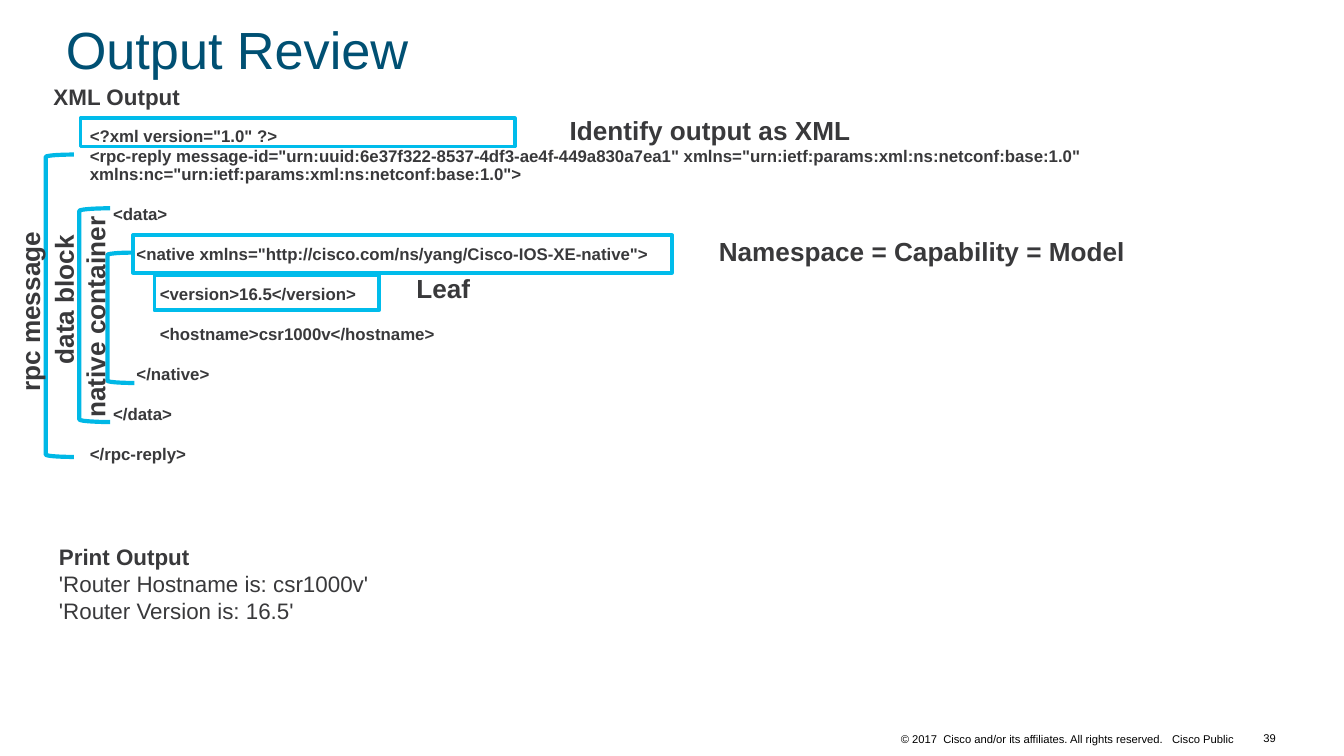
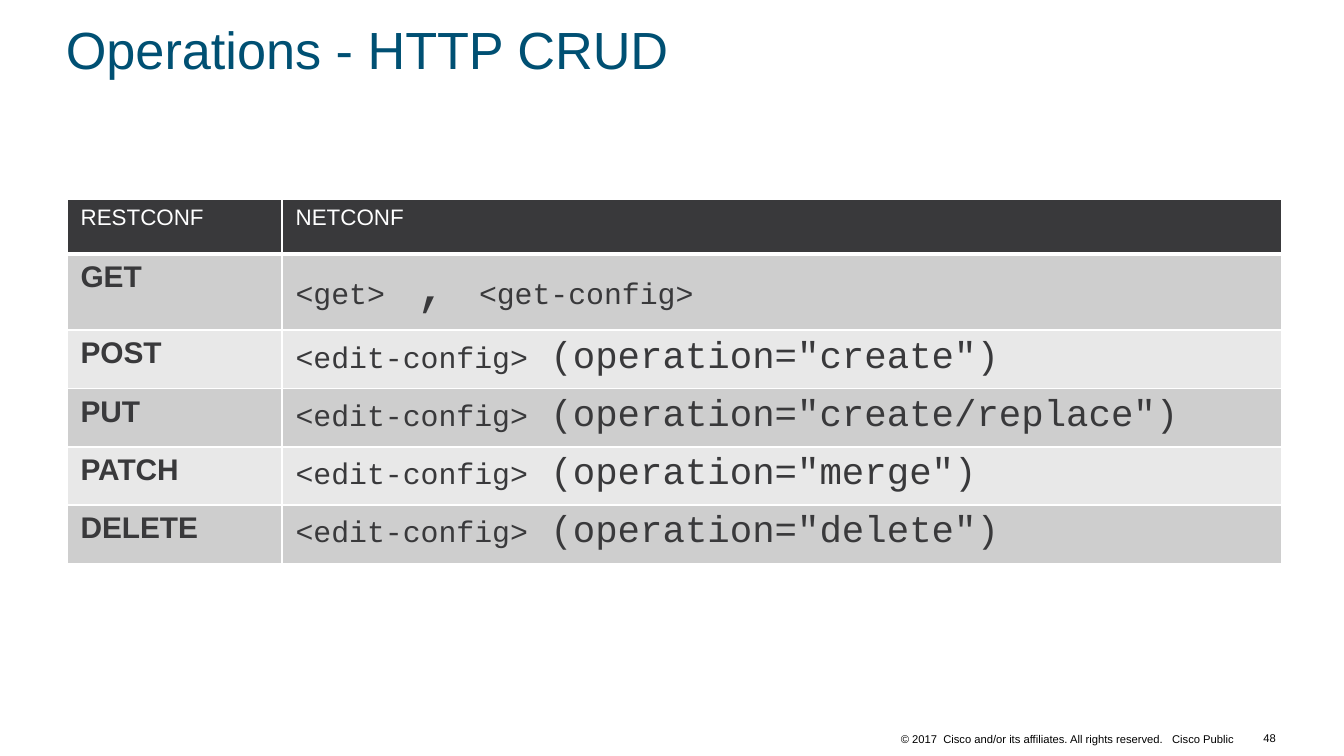
from lxml import etree
from pptx import Presentation
from pptx import util as u
from pptx.dml.color import RGBColor
from pptx.enum import shapes, text
from pptx.oxml import ns

PX = 9144  # EMU per px, 100 px to the inch
COLORS = {
    "title": "005073", "text": "39393B", "black": "000000", "white": "FFFFFF",
    "box": "00BCEB", "bracket": "00B8E6",
    "header": "39393B", "band_dark": "CECECE", "band_light": "E8E8E8",
}
SANS, MONO = "Arial", "Courier New"
LEFT, CENTER, RIGHT = text.PP_ALIGN.LEFT, text.PP_ALIGN.CENTER, text.PP_ALIGN.RIGHT
TOP, MIDDLE, BOTTOM = text.MSO_ANCHOR.TOP, text.MSO_ANCHOR.MIDDLE, text.MSO_ANCHOR.BOTTOM
TITLE_BOX = (39, 17, 931, 48)
COPYRIGHT = "© 2017  Cisco and/or its affiliates. All rights reserved.   Cisco Public"

XML_INDENT = " " * 5
XML_LINES = [  # depth, code, space before in points
    (0, '<?xml version="1.0" ?>', 0),
    (0, '<rpc-reply message-id="urn:uuid:6e37f322-8537-4df3-ae4f-449a830a7ea1" '
        'xmlns="urn:ietf:params:xml:ns:netconf:base:1.0" '
        'xmlns:nc="urn:ietf:params:xml:ns:netconf:base:1.0">', 1),
    (1, "<data>", 11.7),
    (2, '<native xmlns="http://cisco.com/ns/yang/Cisco-IOS-XE-native">', 11.7),
    (3, "<version>16.5</version>", 11.7),
    (3, "<hostname>csr1000v</hostname>", 11.7),
    (2, "</native>", 11.7),
    (1, "</data>", 11.7),
    (0, "</rpc-reply>", 11.7),
]
CALLOUTS = [  # frame, label box, label
    ((60, 88, 323, 21), (414, 80, 272, 34), "Identify output as XML"),
    ((115, 205, 167, 26), (300, 198, 237, 34), "Leaf"),
    ((99, 175, 401, 28), (525, 170, 470, 34), "Namespace = Capability = Model"),
]
BRACKETS = [  # bracket box, label centre, label length, label
    ((34, 115, 21, 225), (22, 232), 233, "rpc message"),
    ((59, 155, 23, 159), (47, 223), 135, "data block"),
    ((80, 188, 20, 97), (71, 236), 174, "native container"),
]
EDIT = "<edit-config>"
OPERATIONS = [  # method, runs of (text, size)
    ("GET", [("<get>", 16), (" , ", 28), ("<get-config>", 16)]),
    ("POST", [(EDIT, 16), (' (operation="create")', 20)]),
    ("PUT", [(EDIT, 16), (' (operation="create/replace")', 20)]),
    ("PATCH", [(EDIT, 16), (' (operation="merge")', 20)]),
    ("DELETE", [(EDIT, 16), (' (operation="delete")', 20)]),
]


def emu(box):
    return [v * PX for v in box]


def rgb(name):
    return RGBColor.from_string(COLORS[name])


def style(r, size, color="text", bold=False, font=SANS):
    r.font.name, r.font.size, r.font.bold = font, u.Pt(size), bold
    r.font.color.rgb = rgb(color)


def add_text(s, box, lines, size, color="text", bold=False, align=LEFT, anchor=TOP, wrap=True):
    tb = s.shapes.add_textbox(*emu(box))
    tf = tb.text_frame
    tf.word_wrap, tf.vertical_anchor = wrap, anchor
    tf.text = "\n".join(lines)
    for p in tf.paragraphs:
        p.alignment = align
        for r in p.runs:
            style(r, size, color, bold)
    return tb


def add_outline(s, kind, box, color, width):
    sp = s.shapes.add_shape(kind, *emu(box))
    sp.shadow.inherit = False
    sp.fill.background()
    sp.line.color.rgb = rgb(color)
    sp.line.width = u.Pt(width)


# Shared frame: title, copyright line and page number
def add_slide(prs, title, number):
    s = prs.slides.add_slide(prs.slide_layouts[5])
    sp = s.shapes.title
    sp.left, sp.top, sp.width, sp.height = emu(TITLE_BOX)
    tf = sp.text_frame
    tf.text = title
    tf.auto_size, tf.vertical_anchor = text.MSO_AUTO_SIZE.NONE, BOTTOM
    p = tf.paragraphs[0]
    p.alignment, p.line_spacing = LEFT, 0.9
    style(p.runs[0], 28, "title")

    tf = add_text(s, (655, 541, 270, 17), [COPYRIGHT], 6, "black",
                  align=RIGHT, anchor=BOTTOM).text_frame
    tf.margin_left = tf.margin_right = 7 * PX
    tf.margin_top = tf.margin_bottom = 3 * PX
    add_text(s, (920, 534, 39, 30), [str(number)], 6, "black", align=RIGHT, anchor=MIDDLE)
    return s


def add_xml(s, box):
    lines = [XML_INDENT * depth + code for depth, code, _ in XML_LINES]
    tf = add_text(s, box, lines, 9, bold=True).text_frame
    for p, (_, _, before) in zip(tf.paragraphs, XML_LINES):
        p.line_spacing = 0.9
        p.space_before = u.Pt(before)


def add_callout(s, frame, label_box, label):
    add_outline(s, shapes.MSO_SHAPE.RECTANGLE, frame, "box", 2)
    add_text(s, label_box, [label], 14, bold=True)


def add_bracket(s, box, centre, length, label):
    add_outline(s, shapes.MSO_SHAPE.LEFT_BRACKET, box, "bracket", 2.25)
    cx, cy = centre
    height = 34
    label_box = (cx - length // 2, cy - height // 2, length, height)
    add_text(s, label_box, [label], 14, bold=True, align=CENTER).rotation = 270


def output_slide(prs):
    s = add_slide(prs, "Output Review", 39)
    add_xml(s, (57, 90, 913, 381))
    for callout in CALLOUTS:
        add_callout(s, *callout)
    for bracket in BRACKETS:
        add_bracket(s, *bracket)
    add_text(s, (30, 57, 116, 30), ["XML Output"], 12, bold=True, wrap=False)
    printed = ["Print Output", "'Router Hostname is: csr1000v'", "'Router Version is: 16.5'"]
    tf = add_text(s, (34, 399, 252, 91), printed, 12, wrap=False).text_frame
    tf.paragraphs[0].runs[0].font.bold = True


def fill_cell(cell, runs, fill, bottom=1, **font):
    tcPr = cell._tc.get_or_add_tcPr()
    for side, width in (("L", 1), ("R", 1), ("T", 1), ("B", bottom)):
        ln = etree.SubElement(tcPr, ns.qn("a:ln" + side), w=str(u.Pt(width)))
        solid = etree.SubElement(ln, ns.qn("a:solidFill"))
        etree.SubElement(solid, ns.qn("a:srgbClr"), val=COLORS["white"])
    cell.fill.solid()
    cell.fill.fore_color.rgb = rgb(fill)
    p = cell.text_frame.paragraphs[0]
    for words, size in runs:
        r = p.add_run()
        r.text = words
        style(r, size, **font)


# Table of methods and their matching operations
def add_operations(s, box):
    rows = len(OPERATIONS) + 1
    table = s.shapes.add_table(rows, 2, *emu(box)).table
    for col, width in zip(table.columns, (160, box[2] - 160)):
        col.width = width * PX
    for row in table.rows:
        row.height = box[3] // rows * PX
    for i, name in enumerate(("RESTCONF", "NETCONF")):
        fill_cell(table.cell(0, i), [(name, 12)], "header", bottom=3, color="white")
    for i, (method, runs) in enumerate(OPERATIONS, 1):
        band = "band_dark" if i % 2 else "band_light"
        fill_cell(table.cell(i, 0), [(method, 16)], band, bold=True)
        fill_cell(table.cell(i, 1), runs, band, font=MONO)


def crud_slide(prs):
    s = add_slide(prs, "Operations - HTTP CRUD", 48)
    add_operations(s, (50, 148, 904, 246))


def main():
    prs = Presentation()
    prs.slide_width = 1000 * PX
    prs.slide_height = prs.slide_width * 9 // 16
    output_slide(prs)
    crud_slide(prs)
    prs.save("out.pptx")


if __name__ == "__main__":
    main()
